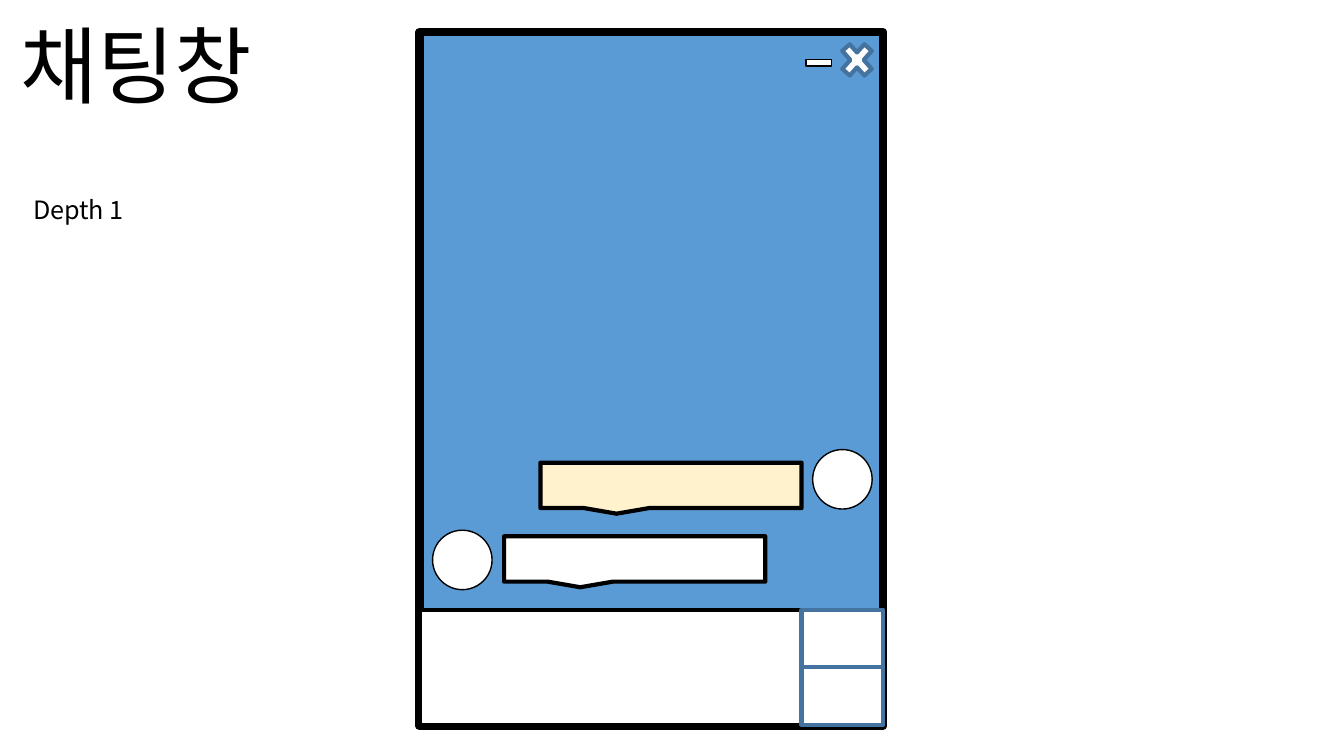
from lxml import etree
from pptx import Presentation
from pptx.dml.color import RGBColor
from pptx.enum.shapes import MSO_SHAPE
from pptx.enum.text import MSO_ANCHOR, MSO_AUTO_SIZE, PP_ALIGN
from pptx.oxml.ns import qn
from pptx.util import Inches, Pt

RECT = MSO_SHAPE.RECTANGLE
OVAL = MSO_SHAPE.OVAL
CALLOUT = MSO_SHAPE.RECTANGULAR_CALLOUT
MINUS = MSO_SHAPE.MATH_MINUS
MULTIPLY = MSO_SHAPE.MATH_MULTIPLY
TOP = MSO_ANCHOR.TOP
LEFT = PP_ALIGN.LEFT
GROW = MSO_AUTO_SIZE.SHAPE_TO_FIT_TEXT

FONT = "Noto Sans CJK KR"
BLACK, WHITE = "000000", "FFFFFF"
BLUE, DARK_BLUE, CREAM = "5B9BD5", "43739E", "FFF2CC"


def rgb(color):
    return RGBColor.from_string(color)


def add_box(s, kind, x, y, w, h, fill=WHITE, line=BLACK, weight=3):
    sp = s.shapes.add_shape(kind, Inches(x), Inches(y), Inches(w), Inches(h))
    sp.shadow.inherit = False
    sp.fill.solid()
    sp.fill.fore_color.rgb = rgb(fill)
    sp.line.color.rgb = rgb(line)
    sp.line.width = Pt(weight)


def write(sp, text, size):
    tf = sp.text_frame
    tf.word_wrap = True
    tf.auto_size = GROW
    tf.vertical_anchor = TOP
    p = tf.paragraphs[0]
    p.text = text
    p.alignment = LEFT
    p.line_spacing = 0.9
    p.font.size = Pt(size)
    p.font.color.rgb = rgb(BLACK)
    p.font.name = FONT
    # Korean glyphs take the East Asian typeface
    font = p._p.pPr.find(qn("a:defRPr"))
    etree.SubElement(font, qn("a:ea")).set("typeface", FONT)


def add_heading(s, x, y):
    title = s.shapes.title
    title.left, title.top = Inches(x), Inches(y)
    title.width, title.height = Inches(4), Inches(1.11)
    write(title, "채팅창", 60)
    depth = s.shapes.add_textbox(Inches(x + 0.13), Inches(y + 1.71),
                                 Inches(2.96), Inches(0.4))
    write(depth, "Depth 1", 18)


def add_window(s, x, y, w, h):
    add_box(s, RECT, x, y, w, h, BLUE, weight=6)
    # Close and minimise buttons
    add_box(s, MULTIPLY, x + w - 0.47, y + 0.04, 0.42, 0.47, line=DARK_BLUE)
    add_box(s, MINUS, x + w - 0.81, y + 0.17, 0.34, 0.27, weight=1)


def add_message(s, avatar_x, bubble_x, y, bubble_dy, fill):
    add_box(s, OVAL, avatar_x, y, 0.59, 0.59, weight=1)
    add_box(s, CALLOUT, bubble_x, y + bubble_dy, 2.59, 0.45, fill)


def add_input_bar(s, x, y, w, h):
    button_w, button_h = 0.81, h / 2
    button_x = x + w - button_w
    add_box(s, RECT, x, y, w - button_w, h)
    for row in range(2):
        add_box(s, RECT, button_x, y + row * button_h, button_w, button_h,
                line=DARK_BLUE)


def build_chat_slide(prs):
    s = prs.slides.add_slide(prs.slide_layouts[5])
    x, y, w, h = 4.16, 0.32, 4.6, 6.88
    add_heading(s, 0.1, 0.2)
    add_window(s, x, y, w, h)
    # Received message, then the user's own
    add_message(s, x + 0.13, x + 0.84, y + 4.94, 0.06, WHITE)
    add_message(s, x + 3.9, x + 1.2, y + 4.14, 0.13, CREAM)
    add_input_bar(s, x, y + 5.73, w, 1.14)


def main():
    prs = Presentation()
    prs.slide_width, prs.slide_height = Inches(13.33), Inches(7.5)
    build_chat_slide(prs)
    prs.save("out.pptx")


if __name__ == "__main__":
    main()
